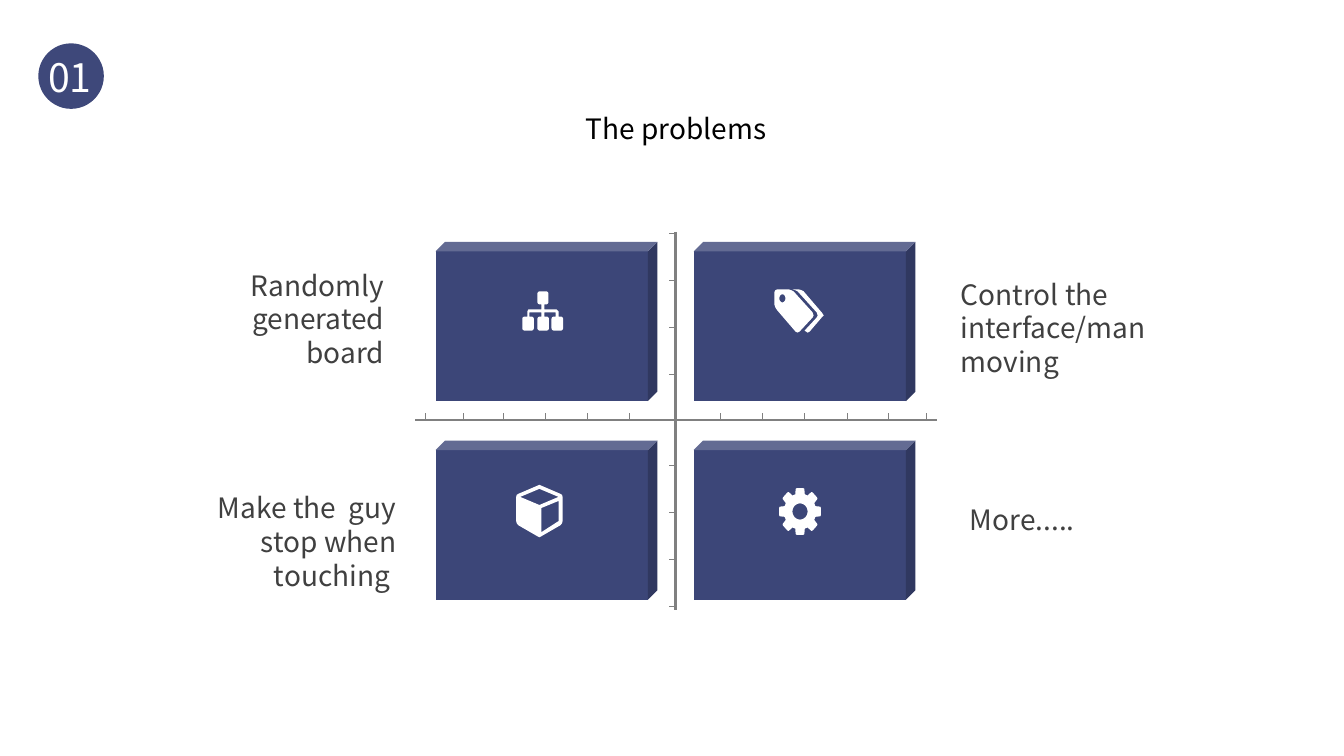
from math import cos, pi, sin

from lxml.etree import SubElement
from pptx import Presentation
from pptx.dml.color import RGBColor
from pptx.enum.shapes import MSO_CONNECTOR as Link, MSO_SHAPE as Shape
from pptx.enum.text import MSO_ANCHOR as Anchor, PP_ALIGN as Align
from pptx.oxml.ns import qn
from pptx.util import Inches, Pt


class Theme:
    font = "Noto Sans CJK SC"
    badge, block = "3E487A", "3C4678"
    axis, label = "808080", "404040"
    white, black = "FFFFFF", "000000"
    body, number = 20, 28
    axis_width, tick_width = 1.5, 0.5


# Content: text, box (left, top, width, height), alignment
TITLE = ("The problems", (4.79, 1.06, 3.83, 0.44), Align.CENTER)
NUMBER = "01"
PROBLEMS = [
    ("Randomly generated board", (2.05, 2.61, 1.86, 1.11), Align.RIGHT),
    ("Control the interface/man moving", (9.43, 2.7, 2.71, 1.11), Align.LEFT),
    ("Make the  guy stop when touching ", (1.54, 4.82, 2.49, 1.11), Align.RIGHT),
    ("More.....", (9.52, 4.94, 2.23, 0.44), Align.LEFT),
]

# Axes and their ticks
CENTRE_X, CENTRE_Y = 6.7, 4.17
AXES = [(CENTRE_X, 2.3, CENTRE_X, 6.05), (4.12, CENTRE_Y, 9.29, CENTRE_Y)]
TICK_ROWS = [start + 0.466 * k for start in (2.32, 4.62) for k in range(4)]
TICK_COLUMNS = [4.22, 4.6, 4.99, 5.41, 5.83, 6.24,
                7.14, 7.56, 7.98, 8.4, 8.81, 9.19]
TICKS = [(6.64, y, 6.69, y) for y in TICK_ROWS]
TICKS += [(x, 4.1, x, 4.16) for x in TICK_COLUMNS]

# Blocks
BLOCK_COLUMNS, BLOCK_ROWS = (4.32, 6.88), (2.4, 4.37)
BLOCK_SIZE = (2.2, 1.58)


# Icon outlines, each a list of closed contours
def ellipse(x, y, rx, ry, steps=32):
    return [(x + rx * cos(2 * pi * k / steps), y + ry * sin(2 * pi * k / steps))
            for k in range(steps)]


def rounded(left, top, right, bottom, r=0.025):
    corners = [(right - r, bottom - r, 0), (left + r, bottom - r, 1),
               (left + r, top + r, 2), (right - r, top + r, 3)]
    return [(x + r * cos((q + k / 4) * pi / 2), y + r * sin((q + k / 4) * pi / 2))
            for x, y, q in corners for k in range(5)]


def tree_icon():
    nodes = [rounded(5.33, 2.89, 5.44, 3.02)]
    nodes += [rounded(x, 3.14, x + 0.115, 3.28) for x in (5.18, 5.33, 5.47)]
    branches = [(5.37, 3.02), (5.4, 3.02), (5.4, 3.07), (5.52, 3.07),
                (5.54, 3.09), (5.54, 3.14), (5.51, 3.14), (5.51, 3.1),
                (5.4, 3.1), (5.4, 3.14), (5.37, 3.14), (5.37, 3.1),
                (5.25, 3.1), (5.25, 3.14), (5.23, 3.14), (5.23, 3.09),
                (5.24, 3.07), (5.37, 3.07)]
    return nodes + [branches]


def tags_icon():
    front = [(7.69, 2.88), (7.71, 2.87), (7.82, 2.87), (7.85, 2.88), (7.87, 2.89),
             (8.06, 3.1), (8.07, 3.13), (8.06, 3.15), (7.93, 3.29), (7.91, 3.3),
             (7.89, 3.29), (7.71, 3.08), (7.69, 3.05), (7.68, 3.02), (7.68, 2.9)]
    back = [(7.86, 2.87), (7.92, 2.87), (7.95, 2.88), (7.97, 2.89), (8.15, 3.1),
            (8.17, 3.13), (8.15, 3.15), (8.03, 3.29), (8.01, 3.3), (7.98, 3.28),
            (8.1, 3.15), (8.11, 3.13), (8.1, 3.1), (7.91, 2.89), (7.89, 2.88)]
    return [front, ellipse(7.76, 2.96, 0.03, 0.04), back]


def box_icon():
    outline = [(5.35, 4.81), (5.56, 4.9), (5.575, 4.91), (5.58, 4.93), (5.58, 5.17),
               (5.575, 5.19), (5.56, 5.21), (5.37, 5.32), (5.35, 5.33), (5.33, 5.32),
               (5.14, 5.21), (5.125, 5.19), (5.12, 5.17), (5.12, 4.93),
               (5.125, 4.91), (5.14, 4.9)]
    lid = [(5.54, 4.93), (5.35, 4.85), (5.16, 4.93), (5.35, 5.01)]
    side = [(5.54, 5.17), (5.54, 4.97), (5.37, 5.04), (5.37, 5.28)]
    return [outline, lid, side]


def gear_icon(x=7.935, y=5.075, rx=0.21, ry=0.235):
    profile = [(-0.3, 0.76), (-0.21, 0.98), (-0.15, 1), (0.15, 1),
               (0.21, 0.98), (0.3, 0.76)]
    teeth = [(x + rx * r * cos(k * pi / 4 + turn), y + ry * r * sin(k * pi / 4 + turn))
             for k in range(8) for turn, r in profile]
    return [teeth, ellipse(x, y, 0.075, 0.08)]


# Drawing helpers
def rgb(code):
    return RGBColor.from_string(code)


def box_of(values):
    return [Inches(v) for v in values]


def paint(shape, color):
    shape.fill.solid()
    shape.fill.fore_color.rgb = rgb(color)
    shape.line.fill.background()
    shape.shadow.inherit = False


def write(holder, text, color, size, align, wrap=True):
    frame = holder.text_frame
    frame.word_wrap = wrap
    frame.vertical_anchor = Anchor.TOP
    paragraph = frame.paragraphs[0]
    paragraph.alignment = align
    run = paragraph.add_run()
    run.text = text
    run.font.name, run.font.size = Theme.font, Pt(size)
    run.font.color.rgb = rgb(color)


def draw_line(shapes, ends, width):
    line = shapes.add_connector(Link.STRAIGHT, *box_of(ends))
    line.line.color.rgb = rgb(Theme.axis)
    line.line.width = Pt(width)
    SubElement(line._element.spPr, qn("a:effectLst"))


def draw_icon(shapes, contours):
    first, *others = [[box_of(p) for p in contour] for contour in contours]
    builder = shapes.build_freeform(*first[0])
    builder.add_line_segments(first[1:])
    for contour in others:
        builder.move_to(*contour[0])
        builder.add_line_segments(contour[1:])
    paint(builder.convert_to_shape(), Theme.white)


def main():
    deck = Presentation()
    deck.slide_width, deck.slide_height = Inches(13.33), Inches(7.5)
    slide = deck.slides.add_slide(deck.slide_layouts[5])
    shapes = slide.shapes

    # Title
    text, box, align = TITLE
    title = shapes.title
    title.left, title.top, title.width, title.height = box_of(box)
    write(title, text, Theme.black, Theme.body, align)

    # Number badge
    badge = shapes.add_shape(Shape.OVAL, *box_of((0.38, 0.43, 0.65, 0.65)))
    paint(badge, Theme.badge)
    number = shapes.add_textbox(*box_of((0.38, 0.48, 0.66, 0.57)))
    write(number, NUMBER, Theme.white, Theme.number, Align.LEFT, wrap=False)

    # Axes
    for ends in AXES:
        draw_line(shapes, ends, Theme.axis_width)
    for ends in TICKS:
        draw_line(shapes, ends, Theme.tick_width)

    # Blocks and icons
    for top in BLOCK_ROWS:
        for left in BLOCK_COLUMNS:
            block = shapes.add_shape(Shape.CUBE, *box_of((left, top, *BLOCK_SIZE)))
            block.adjustments[0] = 0.06
            paint(block, Theme.block)
    for contours in (tree_icon(), tags_icon(), gear_icon(), box_icon()):
        draw_icon(shapes, contours)

    # Problem labels
    for text, box, align in PROBLEMS:
        label = shapes.add_textbox(*box_of(box))
        write(label, text, Theme.label, Theme.body, align)

    deck.save("out.pptx")


if __name__ == "__main__":
    main()
